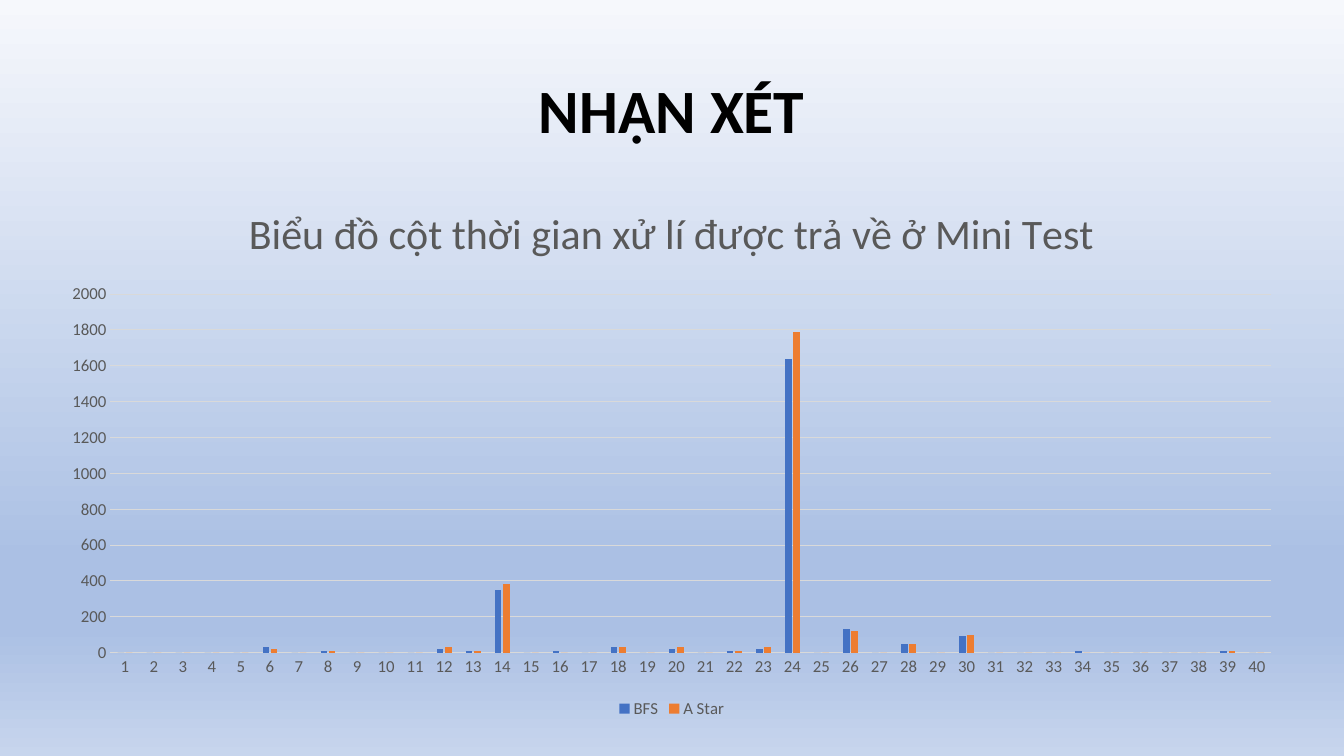
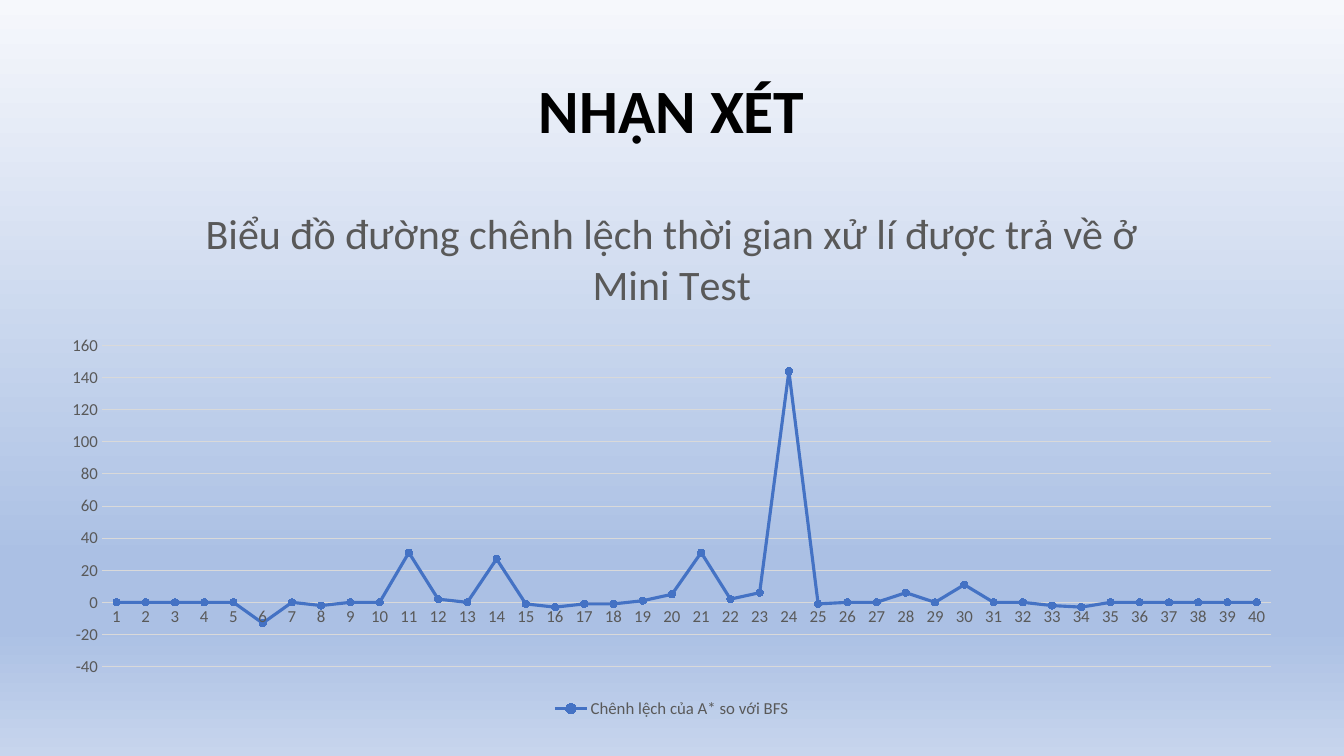
from copy import deepcopy
from dataclasses import dataclass

from pptx import Presentation
from pptx.chart.data import CategoryChartData
from pptx.dml.color import RGBColor
from pptx.enum.chart import XL_CHART_TYPE as ChartType
from pptx.enum.chart import XL_LEGEND_POSITION as LegendPosition
from pptx.enum.chart import XL_MARKER_STYLE as MarkerStyle
from pptx.enum.chart import XL_TICK_MARK as TickMark
from pptx.enum.text import MSO_ANCHOR as Anchor
from pptx.enum.text import MSO_AUTO_SIZE as AutoSize
from pptx.enum.text import PP_ALIGN as Align
from pptx.util import Pt


@dataclass(frozen=True)
class Theme:
    font: str = "Calibri"
    heading: str = "000000"
    label: str = "595959"
    grid: str = "D9D9D9"
    series: tuple = ("4472C4", "ED7D31")
    backdrop: tuple = ((0, "F6F8FC"), (74, "ABC0E4"), (83, "ABC0E4"), (100, "C7D5ED"))
    heading_size: int = 44
    chart_title_size: int = 30
    label_size: int = 12


THEME = Theme()
SLIDE_SIZE = (960, 540)
TITLE_BOX = (66, 28.75, 828, 104.4)
CHART_BOX = (33.84, 128.88, 892.08, 387.36)
TESTS = [str(number) for number in range(1, 41)]
BFS = [0, 0, 0, 0, 0, 30, 0, 10, 0, 0, 0, 20, 10, 350, 0, 10, 0, 30, 0, 20,
       0, 10, 20, 1640, 0, 130, 0, 50, 0, 90, 0, 0, 0, 10, 0, 0, 0, 0, 10, 0]
A_STAR = [0, 0, 0, 0, 0, 20, 0, 10, 0, 0, 0, 30, 10, 380, 0, 0, 0, 30, 0, 30,
          0, 10, 30, 1790, 0, 120, 0, 50, 0, 100, 0, 0, 0, 0, 0, 0, 0, 0, 10, 0]
DIFFERENCE = [0, 0, 0, 0, 0, -13, 0, -2, 0, 0, 31, 2, 0, 27, -1, -3, -1, -1, 1, 5,
              31, 2, 6, 144, -1, 0, 0, 6, 0, 11, 0, 0, -2, -3, 0, 0, 0, 0, 0, 0]


def rgb(code):
    return RGBColor.from_string(code)


def style_font(font, size, color, bold=False):
    font.name = THEME.font
    font.size = Pt(size)
    font.bold = bold
    font.color.rgb = rgb(color)


def style_line(line, color, width):
    line.color.rgb = rgb(color)
    line.width = Pt(width)


def paint_backdrop(master):
    fill = master.background.fill
    fill.gradient()
    fill.gradient_angle = 270
    stop_list = master.element.xpath("./p:cSld/p:bg//a:gsLst")[0]
    for _ in range(len(THEME.backdrop) - len(stop_list)):
        stop_list.append(deepcopy(stop_list[0]))
    for stop, (percent, color) in zip(fill.gradient_stops, THEME.backdrop):
        stop.position = percent / 100
        stop.color.rgb = rgb(color)


def add_titled_slide(deck, heading):
    slide = deck.slides.add_slide(deck.slide_layouts[5])
    title = slide.shapes.title
    title.left, title.top, title.width, title.height = map(Pt, TITLE_BOX)
    frame = title.text_frame
    frame.auto_size = AutoSize.NONE
    frame.vertical_anchor = Anchor.MIDDLE
    paragraph = frame.paragraphs[0]
    paragraph.alignment = Align.CENTER
    paragraph.line_spacing = 0.9
    run = paragraph.add_run()
    run.text = heading
    style_font(run.font, THEME.heading_size, THEME.heading, bold=True)
    return slide


def style_axes(chart, low, high, step):
    for axis in (chart.category_axis, chart.value_axis):
        axis.major_tick_mark = axis.minor_tick_mark = TickMark.NONE
        style_font(axis.tick_labels.font, THEME.label_size, THEME.label)
    style_line(chart.category_axis.format.line, THEME.grid, 0.75)
    values = chart.value_axis
    values.minimum_scale, values.maximum_scale, values.major_unit = low, high, step
    values.format.line.fill.background()
    values.has_major_gridlines = True
    style_line(values.major_gridlines.format.line, THEME.grid, 0.75)


def add_chart(slide, kind, heading, series, scale):
    data = CategoryChartData()
    data.categories = TESTS
    for name, values in series.items():
        data.add_series(name, values)
    chart = slide.shapes.add_chart(kind, *map(Pt, CHART_BOX), data).chart
    style_font(chart.font, THEME.label_size, THEME.label)
    chart.has_title = True
    chart.chart_title.include_in_layout = False
    run = chart.chart_title.text_frame.paragraphs[0].add_run()
    run.text = heading
    style_font(run.font, THEME.chart_title_size, THEME.label)
    chart.has_legend = True
    chart.legend.position = LegendPosition.BOTTOM
    chart.legend.include_in_layout = False
    style_font(chart.legend.font, THEME.label_size, THEME.label)
    style_axes(chart, *scale)
    chart.plots[0].vary_by_categories = False
    return chart


def style_columns(chart):
    plot = chart.plots[0]
    plot.gap_width = 219
    plot.overlap = -27
    for series, color in zip(plot.series, THEME.series):
        series.format.fill.solid()
        series.format.fill.fore_color.rgb = rgb(color)


def style_curves(chart):
    for series, color in zip(chart.plots[0].series, THEME.series):
        series.smooth = False
        style_line(series.format.line, color, 2.25)
        marker = series.marker
        marker.style = MarkerStyle.CIRCLE
        marker.size = 5
        marker.format.fill.solid()
        marker.format.fill.fore_color.rgb = rgb(color)
        style_line(marker.format.line, color, 0.75)


def main():
    deck = Presentation()
    deck.slide_width, deck.slide_height = map(Pt, SLIDE_SIZE)
    paint_backdrop(deck.slide_master)

    times = add_chart(
        add_titled_slide(deck, "NHẬN XÉT"), ChartType.COLUMN_CLUSTERED,
        "Biểu đồ cột thời gian xử lí được trả về ở Mini Test",
        {"BFS": BFS, "A Star": A_STAR}, (0, 2000, 200))
    style_columns(times)

    gaps = add_chart(
        add_titled_slide(deck, "NHẬN XÉT"), ChartType.LINE_MARKERS,
        "Biểu đồ đường chênh lệch thời gian xử lí được trả về ở Mini Test",
        {"Chênh lệch của A* so với BFS": DIFFERENCE}, (-40, 160, 20))
    style_curves(gaps)

    deck.save("out.pptx")


if __name__ == "__main__":
    main()
